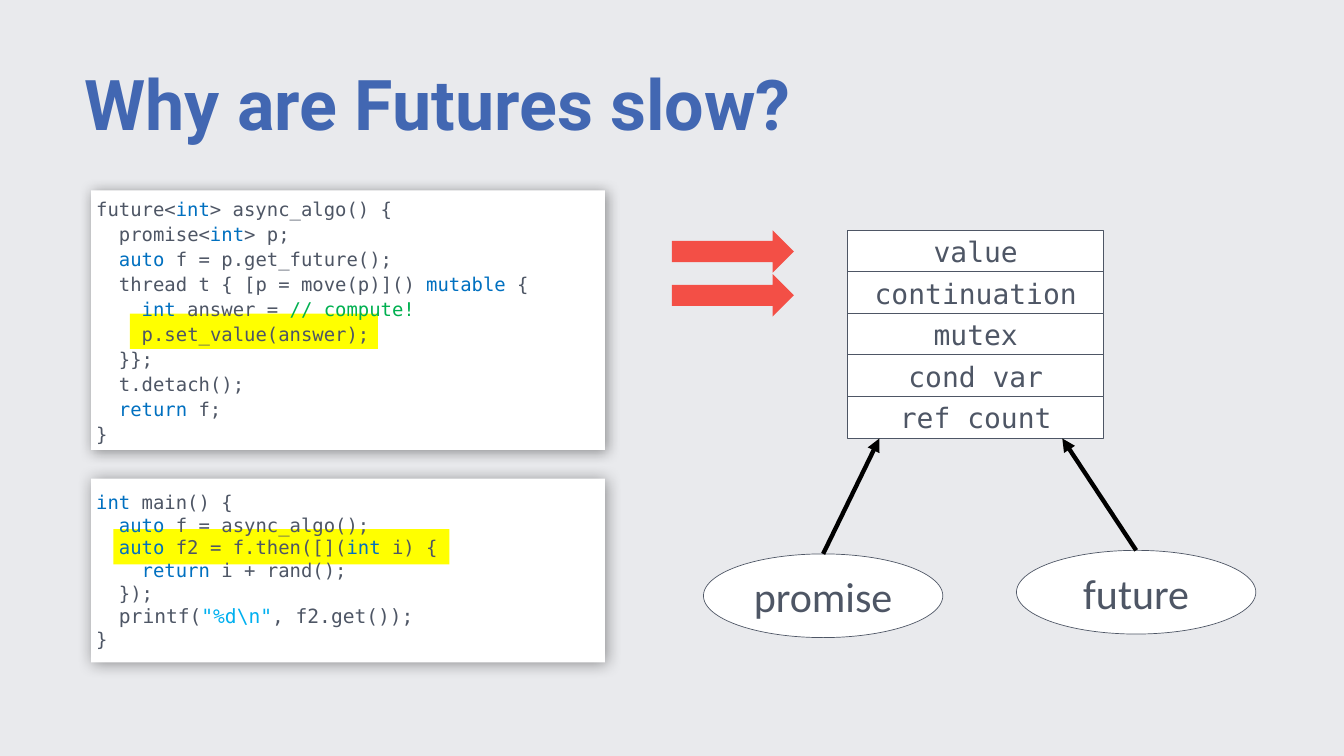
from lxml import etree
from pptx import Presentation, util as u
from pptx.dml.color import RGBColor
from pptx.enum import shapes, text
from pptx.oxml.ns import qn

W, H = u.Inches(26.67), u.Inches(15)
INK, WHITE, BLUE = "4E5665", "FFFFFF", "0070C0"
YELLOW, RED, BLACK = "FFFF00", "F34F46", "000000"
MONO = "DejaVu Sans Mono"
KIND = shapes.MSO_SHAPE

# Code lines: "|" parts the runs, and TINT colours the marked ones
TINT = {word: BLUE for word in ("int", "auto", "mutable", "return")}
TINT.update({"// compute!": "00B050", r'"%d\n"': "00B0F0"})
ALGO = [
    "future<|int|> async_algo() {",
    "  promise<|int|> p;",
    "  |auto| f = p.get_future();",
    "  thread t { [p = move(p)]() |mutable| {",
    "    |int| answer = |// compute!",
    "    p.set_value(answer);",
    "  }};",
    "  t.detach();",
    "  |return| f;",
    "}",
]
MAIN = [
    "int| main() {",
    "  |auto| f = async_algo();",
    "  |auto| f2 = f.then([](|int| i) {",
    "    |return| i + rand();",
    "  });",
    r'  |printf(|"%d\n"|, f2.get());',
    "}",
]
FIELDS = ["value", "continuation", "mutex", "cond var", "ref count"]


def rgb(code):
    return RGBColor.from_string(code)


def area(x, y, w, h):
    """Turn percent shares of the slide into lengths."""
    return [int(W * x / 100), int(H * y / 100), int(W * w / 100), int(H * h / 100)]


def add_run(para, words, size, font, color, bold=False):
    run = para.add_run()
    run.text = words
    run.font.size, run.font.name, run.font.bold = u.Pt(size), font, bold
    run.font.color.rgb = rgb(color)


def set_frame(frame, inset):
    frame.word_wrap = True
    frame.vertical_anchor = text.MSO_ANCHOR.MIDDLE
    frame.margin_left = frame.margin_right = u.Inches(inset)
    frame.margin_top = frame.margin_bottom = u.Inches(inset)


def add_box(slide, kind, place, fill, line=None):
    box = slide.shapes.add_shape(kind, *area(*place))
    box.shadow.inherit = False
    box.fill.solid()
    box.fill.fore_color.rgb = rgb(fill)
    if line:
        box.line.color.rgb = rgb(line)
        box.line.width = u.Pt(1)
    else:
        box.line.fill.background()
    return box


def add_label(slide, kind, place, words, size, font):
    box = add_box(slide, kind, place, WHITE, INK)
    set_frame(box.text_frame, 0.08)
    para = box.text_frame.paragraphs[0]
    para.alignment = text.PP_ALIGN.CENTER
    add_run(para, words, size, font, INK)
    return box


def add_panel(slide, place, blur):
    """White card with a soft shadow."""
    card = add_box(slide, KIND.RECTANGLE, place, WHITE)
    glow = etree.SubElement(
        card._element.spPr.find(qn("a:effectLst")), qn("a:outerShdw"),
        blurRad=str(u.Pt(blur)), dist=str(u.Pt(3)), dir="2700000",
        algn="ctr", rotWithShape="0")
    tone = etree.SubElement(glow, qn("a:srgbClr"), val=BLACK)
    etree.SubElement(tone, qn("a:alpha"), val="40000")


def add_code(slide, place, lines, gap):
    frame = slide.shapes.add_textbox(*area(*place)).text_frame
    set_frame(frame, 0.1)
    for i, line in enumerate(lines):
        para = frame.paragraphs[0] if i == 0 else frame.add_paragraph()
        para.line_spacing = gap
        for part in line.split("|"):
            size = 28 if "printf" in line and part.strip() else 27
            add_run(para, part, size, MONO, TINT.get(part, INK))


def add_arrow(slide, start, tip):
    """Arrow from the top of an ellipse to a point."""
    x, y = area(*tip, 0, 0)[:2]
    link = slide.shapes.add_connector(shapes.MSO_CONNECTOR.STRAIGHT, 0, 0, x, y)
    link.begin_connect(start, 0)
    link.line.color.rgb = rgb(BLACK)
    link.line.width = u.Pt(6.25)
    etree.SubElement(link.line._get_or_add_ln(), qn("a:tailEnd"), type="triangle")
    etree.SubElement(link._element.spPr, qn("a:effectLst"))


def main():
    deck = Presentation()
    deck.slide_width, deck.slide_height = W, H
    slide = deck.slides.add_slide(deck.slide_layouts[6])
    slide.background.fill.solid()
    slide.background.fill.fore_color.rgb = rgb("E9EAED")

    # Title
    frame = slide.shapes.add_textbox(*area(6.26, 7.6, 87.48, 13.4)).text_frame
    set_frame(frame, 0)
    frame.paragraphs[0].line_spacing = 0.9
    add_run(frame.paragraphs[0], "Why are Futures slow?", 100, "Roboto", "4267B2", True)

    # Code panels, each with one marked line
    for top, tall, blur, mark, lines, gap in (
        (25.17, 34.33, 20, (9.67, 41.47, 18.45, 4.67), ALGO, 1.1),
        (63.3, 24.33, 23, (8.44, 70, 25, 4.67), MAIN, 1),
    ):
        place = (6.79, top, 38.21, tall)
        add_panel(slide, place, blur)
        add_box(slide, KIND.RECTANGLE, mark, YELLOW)
        add_code(slide, place, lines, gap)

    # Shared state: a stack of fields
    for i, name in enumerate(FIELDS):
        place = (63.07, 30.47 + 5.48 * i, 19.05, 5.6)
        add_label(slide, KIND.RECTANGLE, place, name, 40, MONO)

    # Both ends point at the shared state
    for name, x, y, tip in (
        ("promise", 52.34, 73.27, 65.43),
        ("future", 75.63, 72.8, 79.04),
    ):
        place = (x, y, 17.81, 11.07)
        end = add_label(slide, KIND.OVAL, place, name, 60, "Calibri")
        add_arrow(slide, end, (tip, 58))

    # Red arrows at the first two fields
    for i in range(2):
        add_box(slide, KIND.RIGHT_ARROW, (50, 30.47 + 5.8 * i, 9.07, 5.6), RED)

    deck.save("out.pptx")


if __name__ == "__main__":
    main()
